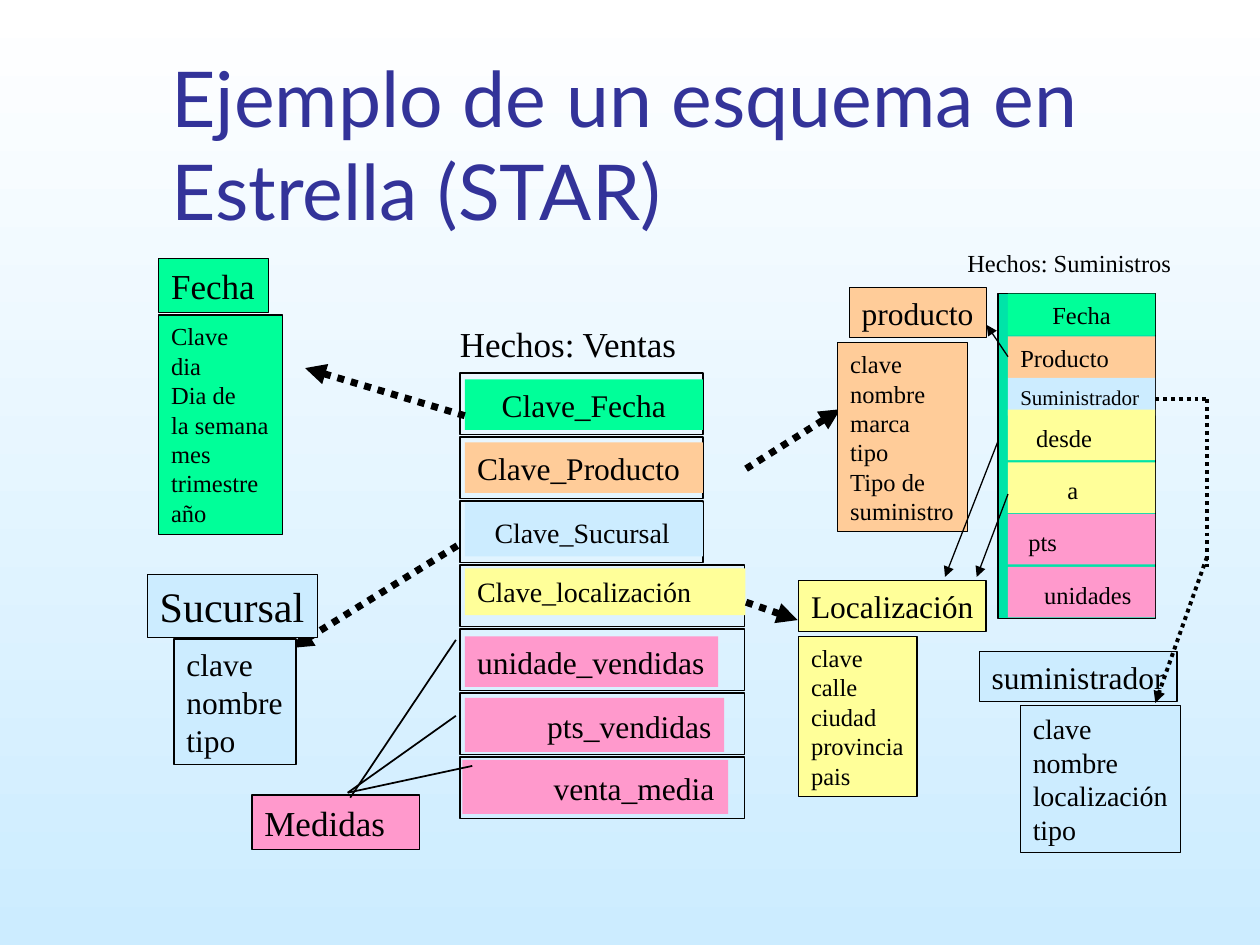
from lxml import etree
from pptx import Presentation
from pptx.dml.color import RGBColor
from pptx.enum.dml import MSO_LINE
from pptx.enum.shapes import MSO_CONNECTOR, MSO_SHAPE
from pptx.enum.text import MSO_ANCHOR, MSO_AUTO_SIZE, PP_ALIGN
from pptx.oxml.ns import qn
from pptx.util import Cm, Pt

RECT, LINE = MSO_SHAPE.RECTANGLE, MSO_CONNECTOR.STRAIGHT
DOTS, FIXED = MSO_LINE.ROUND_DOT, MSO_AUTO_SIZE.NONE
TOP, BOTTOM = MSO_ANCHOR.TOP, MSO_ANCHOR.BOTTOM
LEFT, CENTER = PP_ALIGN.LEFT, PP_ALIGN.CENTER

BLACK = RGBColor(0x00, 0x00, 0x00)
WHITE = RGBColor(0xFF, 0xFF, 0xFF)
NAVY = RGBColor(0x33, 0x33, 0x99)
GREEN = RGBColor(0x00, 0xFF, 0x99)
TEAL = RGBColor(0x00, 0xE4, 0xA8)
PEACH = RGBColor(0xFF, 0xCC, 0x99)
SKY = RGBColor(0xCC, 0xEC, 0xFF)
YELLOW = RGBColor(0xFF, 0xFF, 0x99)
PINK = RGBColor(0xFF, 0x99, 0xCC)

deck = Presentation()
deck.slide_width, deck.slide_height = Cm(25.4), Cm(19.05)
slide = deck.slides.add_slide(deck.slide_layouts[5])
shapes = slide.shapes

back = slide.background.fill
back.gradient()
back.gradient_angle = 270
for stop, color in zip(back.gradient_stops, (WHITE, SKY)):
    stop.color.rgb = color

title = shapes.title
place = {"left": 3.2, "top": 1.7, "width": 21.64, "height": 3.18}
for key, size in place.items():
    setattr(title, key, Cm(size))
frame = title.text_frame
frame.text = "Ejemplo de un esquema en Estrella (STAR)"
for key, value in {"auto_size": FIXED, "vertical_anchor": BOTTOM, "word_wrap": True}.items():
    setattr(frame, key, value)
frame.paragraphs[0].alignment = LEFT
for key, value in {"name": "Lato", "size": Pt(44)}.items():
    setattr(frame.paragraphs[0].font, key, value)
frame.paragraphs[0].font.color.rgb = NAVY


def add_box(x, y, w, h, fill=None, text="", size=14, edge=0, align=LEFT, indent=0, drop=0):
    """Draw a rectangle in cm; indent and drop push its text right and down."""
    box = shapes.add_shape(RECT, Cm(x), Cm(y), Cm(w), Cm(h))
    box.shadow.inherit = False
    if fill is None:
        box.fill.background()
    else:
        box.fill.solid()
        box.fill.fore_color.rgb = fill
    if edge:
        box.line.color.rgb = BLACK
        box.line.width = Pt(edge)
    else:
        box.line.fill.background()
    frame = box.text_frame
    style = {
        "word_wrap": True, "auto_size": FIXED, "vertical_anchor": TOP,
        "margin_left": Cm(0.25 + indent), "margin_right": Cm(0.25 if align == CENTER else 0),
        "margin_top": Cm(0.13 + drop), "margin_bottom": Cm(0.13),
    }
    for key, value in style.items():
        setattr(frame, key, value)
    frame.text = text
    for para in frame.paragraphs:
        para.alignment = align
        para.font.name, para.font.size = "Times New Roman", Pt(size)
        para.font.color.rgb = BLACK


def add_line(x1, y1, x2, y2, width, dots=False, arrow=False):
    line = shapes.add_connector(LINE, Cm(x1), Cm(y1), Cm(x2), Cm(y2))
    line.line.color.rgb = BLACK
    line.line.width = Pt(width)
    if dots:
        line.line.dash_style = DOTS
    props = line._element.spPr
    if arrow:
        etree.SubElement(props.find(qn("a:ln")), qn("a:tailEnd"), type="triangle")
    etree.SubElement(props, qn("a:effectLst"))


# Sales facts: a frame for each row, with a coloured label inside
add_box(9.02, 6.38, 5.2, 1.09, text="Hechos: Ventas", size=20)
sales = [
    ("Clave_Fecha", GREEN, 18, 9.37, 7.65, 4.8, 1.02, CENTER, 0, 0),
    ("Clave_Producto", PEACH, 18, 9.37, 8.92, 4.8, 1.02, LEFT, 0, 0),
    ("Clave_Sucursal", SKY, 16, 9.37, 10.13, 4.8, 1.09, LEFT, 0.35, 0.13),
    ("Clave_localización", YELLOW, 16, 9.37, 11.46, 5.66, 0.94, LEFT, 0, 0),
    ("unidade_vendidas", PINK, 18, 9.37, 12.83, 5.11, 1.02, LEFT, 0, 0),
    ("pts_vendidas", PINK, 18, 9.37, 14.07, 5.23, 1.09, LEFT, 1.41, 0.06),
    ("venta_media", PINK, 18, 9.32, 15.32, 5.36, 1.09, LEFT, 1.59, 0.06),
]
for row, (text, fill, size, x, y, w, h, align, indent, drop) in enumerate(sales):
    add_box(9.27, 7.52 + 1.29 * row, 4.9 if row < 3 else 5.74, 1.24, edge=1)
    add_box(x, y, w, h, fill, text, size, 0, align, indent, drop)

# Measures
add_box(5.08, 16.03, 3.38, 1.09, PINK, "Medidas", 20, 0.75)
for ends in [(7.06, 16.08, 9.19, 12.9), (7.01, 15.98, 9.19, 14.43), (7.01, 15.98, 9.52, 15.44)]:
    add_line(*ends, 1)

# Arrows from sales to its dimensions
for ends in [
    (9.22, 11, 5.89, 13.06), (9.37, 8.38, 6.15, 7.42),
    (15.04, 12.14, 16.08, 12.5), (15.04, 9.45, 16.94, 8.25),
]:
    add_line(*ends, 4, True, True)

# Dimensions: list of fields, then heading
dims = [
    (GREEN, "Fecha", 20, (3.2, 5.21, 2.21, 1.09), 14, (3.2, 6.35, 2.49, 4.42),
     "Clave\ndia\nDia de\nla semana\nmes\ntrimestre\naño"),
    (YELLOW, "Localización", 18, (16.1, 11.71, 3.78, 1.02), 14, (16.1, 12.83, 2.39, 3.23),
     "clave\ncalle\nciudad\nprovincia\npais"),
    (PEACH, "producto", 18, (17.12, 5.79, 2.77, 1.02), 14, (16.89, 6.91, 2.62, 3.81),
     "clave\nnombre\nmarca\ntipo\nTipo de\nsuministro"),
    (SKY, "Sucursal", 24, (2.97, 11.58, 3.43, 1.27), 18, (3.51, 12.88, 2.46, 2.54),
     "clave\nnombre\ntipo"),
    (SKY, "suministrador", 18, (19.74, 13.13, 3.99, 1.02), 16, (20.57, 14.22, 3.23, 2.97),
     "clave\nnombre\nlocalización\ntipo"),
]
for fill, name, big, head, small, body, fields in dims:
    add_box(*body, fill, fields, small, 0.75)
    add_box(*head, fill, name, big, 0.75)

# Supply facts
add_box(19.25, 4.88, 4.8, 0.84, text="Hechos: Suministros")
add_box(20.12, 5.92, 3.18, 6.55, TEAL, edge=0.75)
supply = [
    ("Fecha", GREEN, 14, 5.92, 0.84, CENTER, 0, 0),
    ("Producto", PEACH, 14, 6.78, 0.84, LEFT, 0, 0),
    ("Suministrador", SKY, 12, 7.62, 0.76, LEFT, 0, 0),
    ("desde", YELLOW, 14, 8.26, 1.02, LEFT, 0.32, 0.13),
    ("a", YELLOW, 14, 9.32, 1.02, LEFT, 0.95, 0.13),
    ("pts", PINK, 14, 10.36, 1.02, LEFT, 0.16, 0.13),
    ("unidades", PINK, 14, 11.43, 1.02, LEFT, 0.48, 0.13),
]
for text, fill, size, y, h, align, indent, drop in supply:
    add_box(20.32, y, 2.97, h, fill, text, size, 0, align, indent, drop)

# Dotted route to the supplier, then thin arrows
add_line(23.29, 8.05, 24.33, 8.05, 2.25, True)
add_line(24.33, 8.05, 24.33, 11.43, 2.25, True)
add_line(24.33, 11.23, 23.29, 14.17, 2.25, True, True)
for ends in [(20.12, 8.89, 19.05, 11.63), (20.32, 9.96, 19.69, 11.63), (20.32, 7.19, 19.89, 6.55)]:
    add_line(*ends, 0.75, arrow=True)

deck.save("out.pptx")
